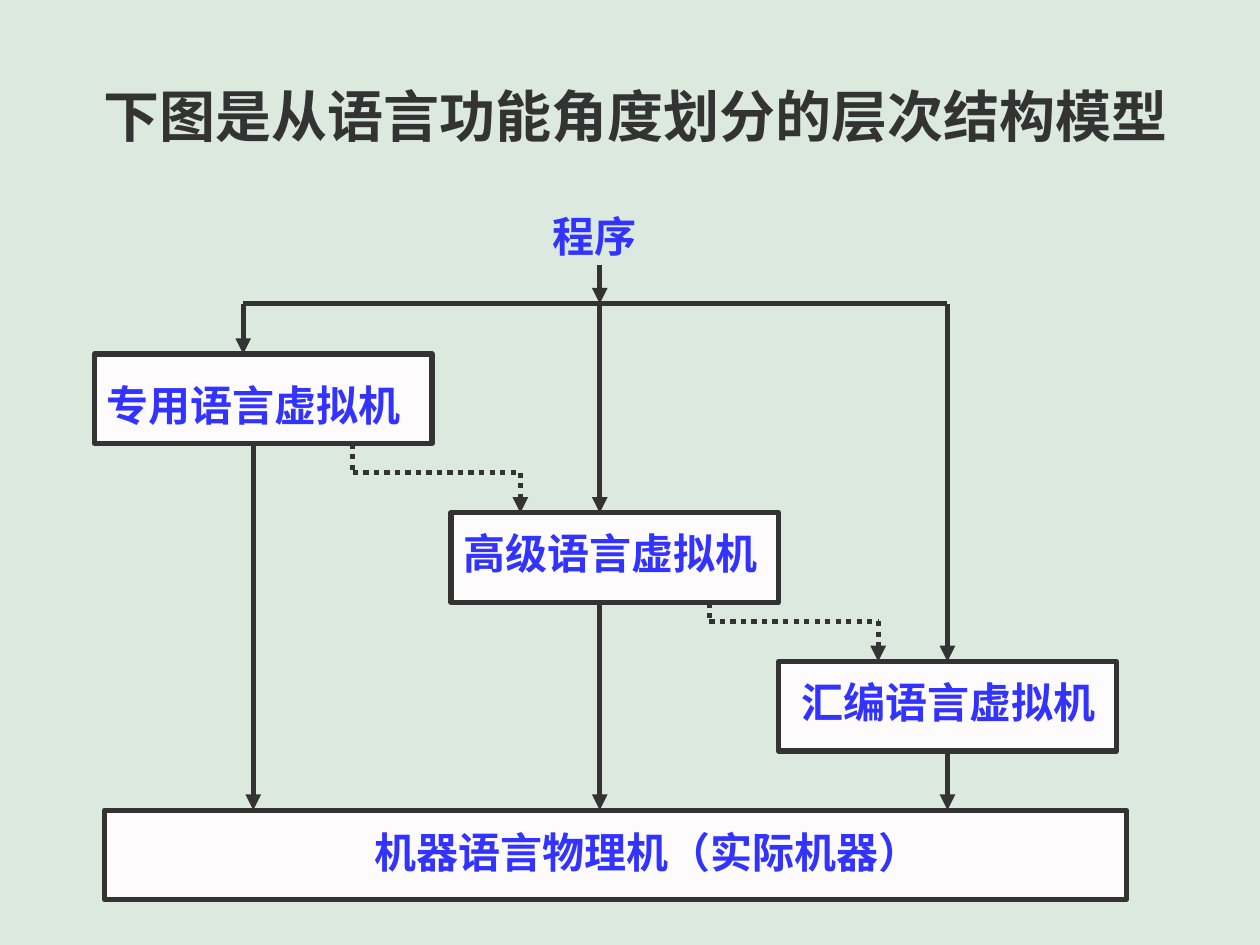
from lxml import etree
from pptx import Presentation
from pptx.dml.color import RGBColor
from pptx.enum.dml import MSO_LINE
from pptx.enum.shapes import MSO_CONNECTOR, MSO_SHAPE
from pptx.enum.text import MSO_ANCHOR, MSO_AUTO_SIZE, PP_ALIGN
from pptx.oxml.ns import qn
from pptx.util import Inches, Pt

RECTANGLE = MSO_SHAPE.RECTANGLE
STRAIGHT = MSO_CONNECTOR.STRAIGHT
DOTTED = MSO_LINE.ROUND_DOT
TOP, LEFT, NO_FIT = MSO_ANCHOR.TOP, PP_ALIGN.LEFT, MSO_AUTO_SIZE.NONE
rgb = RGBColor.from_string
INK, BLUE, PAPER, BACKDROP = "333333", "3333FF", "FDFBFB", "DCE9DF"
CJK, SERIF = "Noto Sans CJK SC", "Times New Roman"


def write(frame, text, size, typeface, color):
    frame.text = text
    frame.word_wrap = True
    frame.auto_size = NO_FIT
    frame.vertical_anchor = TOP
    paragraph = frame.paragraphs[0]
    paragraph.alignment = LEFT
    font = paragraph.font
    font.size, font.bold, font.name = Pt(size), True, typeface
    font.color.rgb = rgb(color)
    # East Asian typeface follows the latin one
    latin = paragraph._p.pPr.find(qn("a:defRPr")).find(qn("a:latin"))
    east_asian = etree.Element(qn("a:ea"), typeface=CJK)
    latin.addnext(east_asian)


def connect(points, arrow=True, dotted=False):
    """Draw straight segments through the points, with an arrowhead on the last."""
    for i, (start, end) in enumerate(zip(points, points[1:])):
        segment = slide.shapes.add_connector(
            STRAIGHT, *[Inches(value) for value in (*start, *end)])
        segment.line.color.rgb = rgb(INK)
        segment.line.width = Pt(3)
        if dotted:
            segment.line.dash_style = DOTTED
        if arrow and i == len(points) - 2:
            etree.SubElement(segment.line._get_or_add_ln(), qn("a:tailEnd"),
                             type="triangle")
        etree.SubElement(segment._element.spPr, qn("a:effectLst"))


prs = Presentation()
prs.slide_width, prs.slide_height = Inches(10), Inches(7.5)
slide = prs.slides.add_slide(prs.slide_layouts[5])
slide.background.fill.solid()
slide.background.fill.fore_color.rgb = rgb(BACKDROP)

# Title
title = slide.shapes.title
title.left, title.top = Inches(0.72), Inches(0.6)
title.width, title.height = Inches(8.85), Inches(0.63)
write(title.text_frame, "下图是从语言功能角度划分的层次结构模型", 32, SERIF, INK)

# Program label
program = slide.shapes.add_textbox(Inches(4.29), Inches(1.62), Inches(1.57), Inches(0.5))
write(program.text_frame, "程序", 24, SERIF, BLUE)

# Machine levels: text, left, top, width, left and top text margins
BOX_HEIGHT = 0.71
machines = [
    ("专用语言虚拟机", 0.75, 2.81, 2.68, 0.1, 0.2),
    ("高级语言虚拟机", 3.58, 4.07, 2.6, 0.1, 0.12),
    ("汇编语言虚拟机", 6.18, 5.25, 2.68, 0.18, 0.12),
    ("机器语言物理机（实际机器）", 0.83, 6.43, 8.11, 2.14, 0.13),
]
for text, left, top, width, margin_left, margin_top in machines:
    machine = slide.shapes.add_shape(
        RECTANGLE, Inches(left), Inches(top), Inches(width), Inches(BOX_HEIGHT))
    machine.shadow.inherit = False
    machine.fill.solid()
    machine.fill.fore_color.rgb = rgb(PAPER)
    machine.line.color.rgb = rgb(INK)
    machine.line.width = Pt(3)
    write(machine.text_frame, text, 24, CJK, BLUE)
    machine.text_frame.margin_left = Inches(margin_left)
    machine.text_frame.margin_top = Inches(margin_top)
    machine.text_frame.margin_right = machine.text_frame.margin_bottom = 0

# Program splits into three branches at the bus
BUS = 2.41
special_top, high_top, assembly_top, physical_top = [row[2] for row in machines]
special_x, high_x, assembly_x = 1.93, 4.76, 7.52
connect([(high_x, 2.1), (high_x, BUS)])
connect([(special_x, BUS), (assembly_x, BUS)], arrow=False)
for x, top in ((special_x, special_top), (high_x, high_top), (assembly_x, assembly_top)):
    connect([(x, BUS), (x, top)])

# Each virtual machine down to the physical machine
for x, top in ((2.01, special_top), (high_x, high_top), (assembly_x, assembly_top)):
    connect([(x, top + BOX_HEIGHT), (x, physical_top)])

# Dotted steps from one virtual machine to the next
for x, top, bend, next_x, next_top in (
        (2.8, special_top, 3.75, 4.13, high_top),
        (5.63, high_top, 4.93, 6.97, assembly_top)):
    connect([(x, top + BOX_HEIGHT), (x, bend), (next_x, bend), (next_x, next_top)],
            dotted=True)

prs.save("out.pptx")
